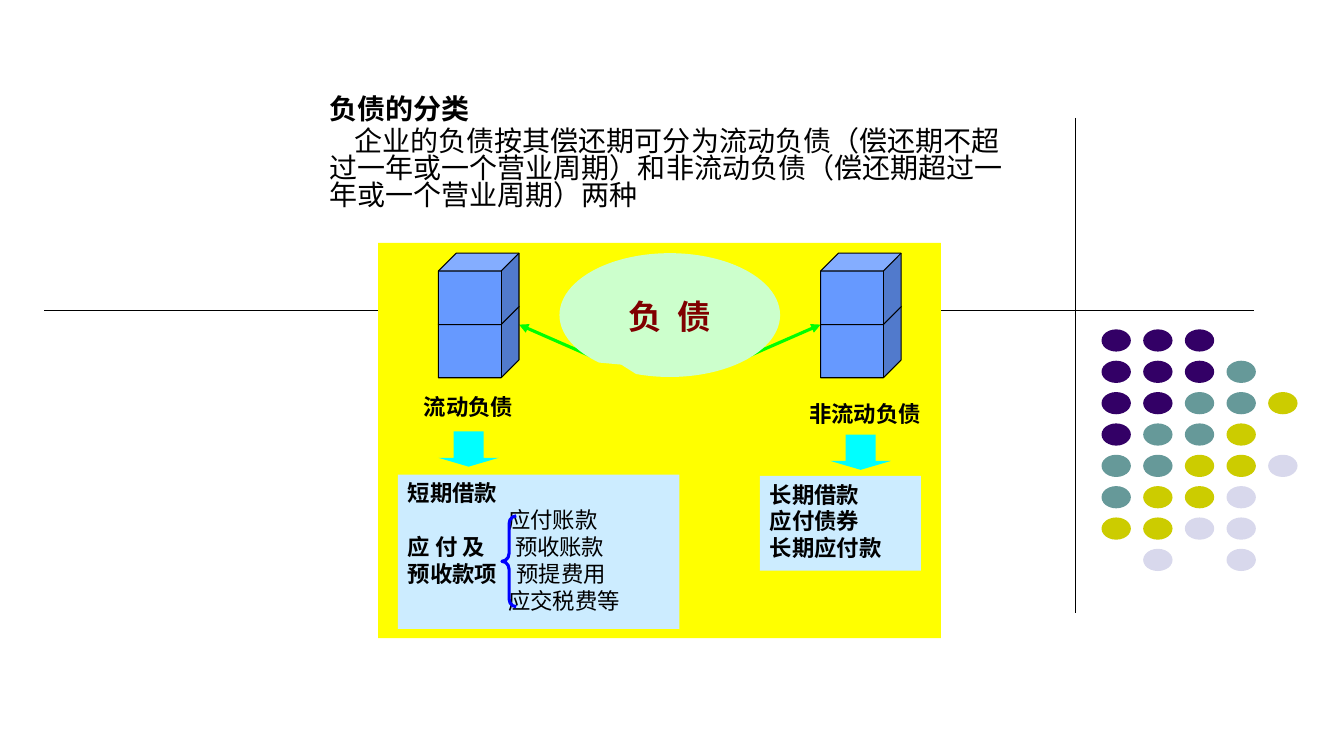
from pptx import Presentation
from pptx.dml.color import RGBColor
from pptx.enum.shapes import MSO_CONNECTOR, MSO_SHAPE
from pptx.enum.text import MSO_ANCHOR, MSO_AUTO_SIZE, PP_ALIGN
from pptx.oxml.ns import qn
from pptx.util import Cm, Pt
from lxml.etree import SubElement

color = RGBColor.from_string


def add_block(kind, box, fill=None, outline=None, width=0.75, adjustments=()):
    shape = slide.shapes.add_shape(kind, *[Cm(value) for value in box])
    shape.shadow.inherit = False
    if fill:
        shape.fill.solid()
        shape.fill.fore_color.rgb = color(fill)
    else:
        shape.fill.background()
    if outline:
        shape.line.color.rgb = color(outline)
        shape.line.width = Pt(width)
    else:
        shape.line.fill.background()
    for index, value in enumerate(adjustments):
        shape.adjustments[index] = value
    shape.text_frame.vertical_anchor = MSO_ANCHOR.TOP
    return shape


def write(paragraph, runs, size, font_name, font_color="000000", **layout):
    for name, value in layout.items():
        setattr(paragraph, name, value)
    for text, bold in runs:
        run = paragraph.add_run()
        run.text = text
        font_format = {"size": Pt(size), "name": font_name, "bold": bold}
        for name, value in font_format.items():
            setattr(run.font, name, value)
        run.font.color.rgb = color(font_color)


presentation = Presentation()
presentation.slide_width = Cm(33.87)
presentation.slide_height = Cm(19.05)
slide = presentation.slides.add_slide(presentation.slide_layouts[5])

# Dots at the right: one letter per dot, one string per row
dot_colors = {"P": "330066", "T": "669999", "Y": "CCCC00", "L": "D8D8EC"}
dot_rows = ["PPP", "PPPT", "PPTTY", "PTTY", "TTYYL", "TYYL", "YYLL", ".L.L"]
for row, letters in enumerate(dot_rows):
    for column, letter in enumerate(letters):
        if letter in dot_colors:
            box = (27.76 + 1.05 * column, 8.3 + 0.79 * row, 0.74, 0.56)
            add_block(MSO_SHAPE.OVAL, box, dot_colors[letter])

# Heading and definition
title = slide.shapes.title
title_box = {"left": 8.05, "top": 2.34, "width": 17.68, "height": 3.35}
for name, value in title_box.items():
    setattr(title, name, Cm(value))
title_frame = title.text_frame
frame_format = {"word_wrap": True, "auto_size": MSO_AUTO_SIZE.NONE,
                "vertical_anchor": MSO_ANCHOR.TOP}
for name, value in frame_format.items():
    setattr(title_frame, name, value)
write(title_frame.paragraphs[0], [("负债的分类", True)], 20, "Arial",
      alignment=PP_ALIGN.LEFT, line_spacing=0.8)
definition = title_frame.add_paragraph()
definition_text = ("企业的负债按其偿还期可分为流动负债（偿还期不超过一年或一个营业周期）"
                   "和非流动负债（偿还期超过一年或一个营业周期）两种")
write(definition, [(definition_text, False)], 20, "Arial",
      alignment=PP_ALIGN.LEFT, line_spacing=0.8, space_before=Pt(4))
definition._p.get_or_add_pPr().set("indent", str(Cm(0.63)))

# Cross lines, then the yellow panel with its green arrows
cross_lines = [((27.1, 2.97), (27.1, 15.44), "000000", 0.75),
               ((1.12, 7.82), (31.6, 7.82), "000000", 0.5)]
arrows = [((15.11, 9.07), (13.08, 8.18), "00FF00", 2.25),
          ((18.64, 9.07), (20.68, 8.18), "00FF00", 2.25)]
for panel, lines in [(None, cross_lines), ((9.53, 6.12, 14.18, 9.96), arrows)]:
    if panel:
        add_block(MSO_SHAPE.RECTANGLE, panel, "FFFF00")
    for start, end, line_color, width in lines:
        connector = slide.shapes.add_connector(
            MSO_CONNECTOR.STRAIGHT, *[Cm(value) for value in start + end])
        connector.line.color.rgb = color(line_color)
        connector.line.width = Pt(width)
        properties = connector._element.spPr
        if lines is arrows:
            SubElement(properties.find(qn("a:ln")), qn("a:tailEnd"), type="triangle")
        SubElement(properties, qn("a:effectLst"))

# Two branches: stacked cubes, label and down arrow
branches = [("流动负债", 11.05, 10.03, 9.78, 11.05, 10.87),
            ("非流动负债", 20.68, 20.02, 9.96, 20.93, 10.95)]
for name, cube_left, label_left, label_top, arrow_left, arrow_top in branches:
    for cube_top in (7.72, 6.38):
        add_block(MSO_SHAPE.CUBE, (cube_left, cube_top, 2.03, 1.8), "6699FF",
                  "000000", adjustments=[0.25])
    label = add_block(MSO_SHAPE.RECTANGLE, (label_left, label_top, 3.56, 1.35), "FFFF00")
    write(label.text_frame.paragraphs[0], [(name, True)], 16, "Times New Roman",
          alignment=PP_ALIGN.CENTER)
    add_block(MSO_SHAPE.DOWN_ARROW, (arrow_left, arrow_top, 1.52, 0.89), "00FFFF",
              adjustments=[0.5, 0.25])

# Central callout
callout = add_block(MSO_SHAPE.OVAL_CALLOUT, (14.1, 6.38, 5.56, 3.12), "CCFFCC",
                    adjustments=[-0.22, 0.4])
callout_paragraph = callout.text_frame.paragraphs[0]
write(callout_paragraph, [("负 债", True)], 24, "Times New Roman", "800000",
      alignment=PP_ALIGN.CENTER, line_spacing=1.5)
callout_paragraph.runs[0]._r.get_or_add_rPr().set("spc", "300")

# Detail boxes: bold text, text after the tab, tab stop
short_term = [("短期借款", "", 0), ("", "应付账款", 2.53), ("应 付 及", "预收账款", 2.7),
              ("预收款项", "预提费用", 2.74), ("", "应交税费等", 2.53)]
long_term = [("长期借款", "", 0), ("应付债券", "", 0), ("长期应付款", "", 0)]
details = [((10.03, 11.96, 7.09, 3.89), short_term),
           ((19.15, 11.99, 4.06, 2.39), long_term)]
for box, items in details:
    frame = add_block(MSO_SHAPE.RECTANGLE, box, "CCECFF").text_frame
    for index, (bold_text, plain_text, tab) in enumerate(items):
        paragraph = frame.add_paragraph() if index else frame.paragraphs[0]
        runs = [(bold_text, True)] if bold_text else []
        if plain_text:
            tab_list = SubElement(paragraph._p.get_or_add_pPr(), qn("a:tabLst"))
            SubElement(tab_list, qn("a:tab"), pos=str(Cm(tab)), algn="l")
            runs.append(("\t" + plain_text, False))
        write(paragraph, runs, 16, "Times New Roman", alignment=PP_ALIGN.LEFT)

# Brace before the payable items
add_block(MSO_SHAPE.LEFT_BRACE, (12.65, 13, 0.36, 2.29), None, "0000FF", 2.25, [0.55, 0.5])

presentation.save("out.pptx")
